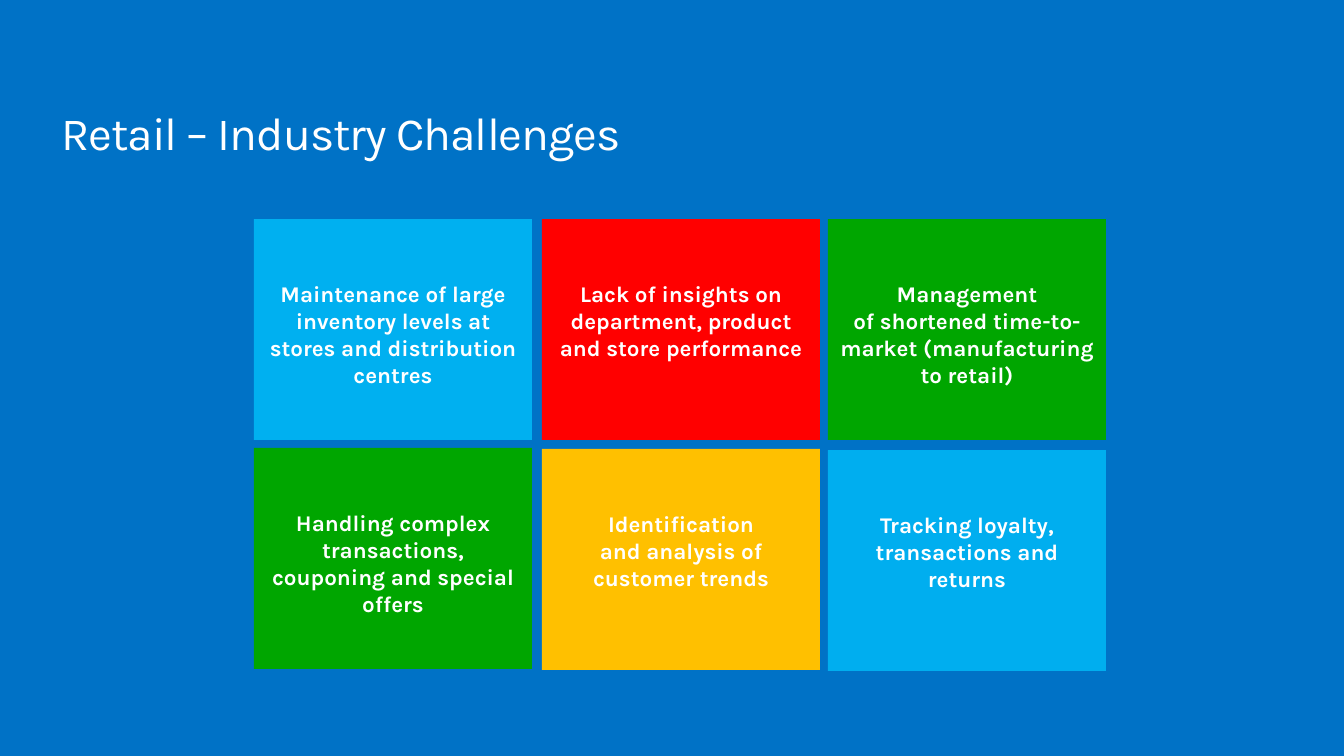
import dataclasses

import pptx
import pptx.dml.color
import pptx.enum.shapes
import pptx.enum.text
import pptx.shapes.autoshape
import pptx.slide
import pptx.text.text
import pptx.util


@dataclasses.dataclass(frozen=True)
class Theme:
    font: str = "Karla"
    background: str = "0072C6"
    text: str = "FFFFFF"
    cyan: str = "00AEEF"
    sky: str = "00B0F0"
    green: str = "00A600"
    amber: str = "FFC000"
    red: str = "FF0000"
    title_size: float = 49.5
    tile_size: float = 24


@dataclasses.dataclass(frozen=True)
class Tile:
    row: int
    column: int
    fill: str
    lines: tuple[str, ...]


THEME = Theme()
PAGE_WIDTH, PAGE_HEIGHT = 1344, 756
EMU_PER_PX = pptx.util.Inches(20) / PAGE_WIDTH
COLUMN_LEFTS = (254, 542, 828)
ROW_TOPS = (219, 448)
ROW_STEPS = (0, 1)
TILE_WIDTH, TILE_HEIGHT = 278, 221
TILE_SIDE_INSET, TILE_TOP_INSET, TILE_BOTTOM_INSET = 10, 61, 7

TILES = (
    Tile(0, 0, THEME.sky, ("Maintenance of large inventory levels at stores and distribution centres",)),
    Tile(0, 1, THEME.red, ("Lack of insights on department, product and store performance",)),
    Tile(0, 2, THEME.green, ("Management", "of shortened time-to-market (manufacturing to retail)")),
    Tile(1, 0, THEME.green, ("Handling complex transactions, couponing and special offers",)),
    Tile(1, 1, THEME.amber, ("Identification", "and analysis of customer trends")),
    Tile(1, 2, THEME.cyan, ("Tracking loyalty, transactions and returns",)),
)


def px(length: int) -> pptx.util.Emu:
    return pptx.util.Emu(round(length * EMU_PER_PX))


def color(value: str) -> pptx.dml.color.RGBColor:
    return pptx.dml.color.RGBColor.from_string(value)


def set_insets(frame: pptx.text.text.TextFrame, side: int, top: int, bottom: int) -> None:
    frame.margin_left = frame.margin_right = px(side)
    frame.margin_top = px(top)
    frame.margin_bottom = px(bottom)
    frame.vertical_anchor = pptx.enum.text.MSO_ANCHOR.TOP
    frame.word_wrap = True


def add_span(para, text: str, size: float, bold: bool):
    span = para.add_run()
    span.text = text
    span.font.name = THEME.font
    span.font.size = pptx.util.Pt(size)
    span.font.bold = bold
    span.font.color.rgb = color(THEME.text)
    return span


def write_title(page: pptx.slide.Slide, text: str) -> None:
    box = page.shapes.title
    box.left, box.top, box.width, box.height = px(61), px(111), px(1229), px(50)
    frame = box.text_frame
    set_insets(frame, 0, 0, 0)
    frame.auto_size = pptx.enum.text.MSO_AUTO_SIZE.SHAPE_TO_FIT_TEXT
    para = frame.paragraphs[0]
    para.alignment = pptx.enum.text.PP_ALIGN.LEFT
    para.line_spacing = 0.9
    span = add_span(para, text, THEME.title_size, False)
    span.font._element.set("spc", "-100")


def draw_tile(page: pptx.slide.Slide, tile: Tile) -> None:
    top = ROW_TOPS[tile.row] + tile.column * ROW_STEPS[tile.row]
    box: pptx.shapes.autoshape.Shape = page.shapes.add_shape(
        pptx.enum.shapes.MSO_SHAPE.RECTANGLE,
        px(COLUMN_LEFTS[tile.column]), px(top), px(TILE_WIDTH), px(TILE_HEIGHT),
    )
    box.shadow.inherit = False
    box.fill.solid()
    box.fill.fore_color.rgb = color(tile.fill)
    box.line.fill.background()
    frame = box.text_frame
    set_insets(frame, TILE_SIDE_INSET, TILE_TOP_INSET, TILE_BOTTOM_INSET)
    for index, line in enumerate(tile.lines):
        para = frame.add_paragraph() if index else frame.paragraphs[0]
        para.alignment = pptx.enum.text.PP_ALIGN.CENTER
        add_span(para, line, THEME.tile_size, True)


def main() -> None:
    deck = pptx.Presentation()
    deck.slide_width, deck.slide_height = px(PAGE_WIDTH), px(PAGE_HEIGHT)
    page = deck.slides.add_slide(deck.slide_layouts.get_by_name("Title Only"))
    page.background.fill.solid()
    page.background.fill.fore_color.rgb = color(THEME.background)
    write_title(page, "Retail – Industry Challenges")
    for tile in TILES:
        draw_tile(page, tile)
    deck.save("out.pptx")


if __name__ == "__main__":
    main()
